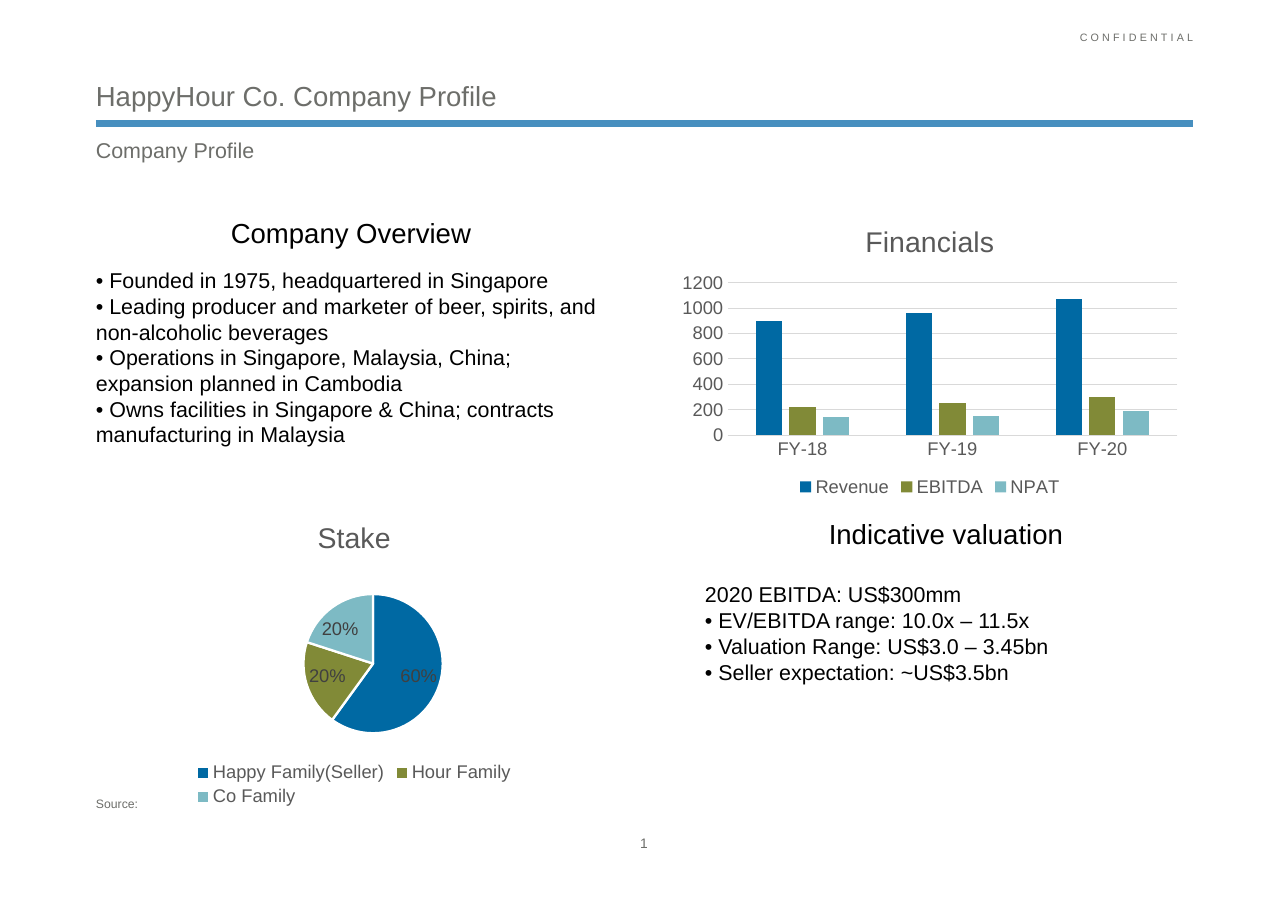
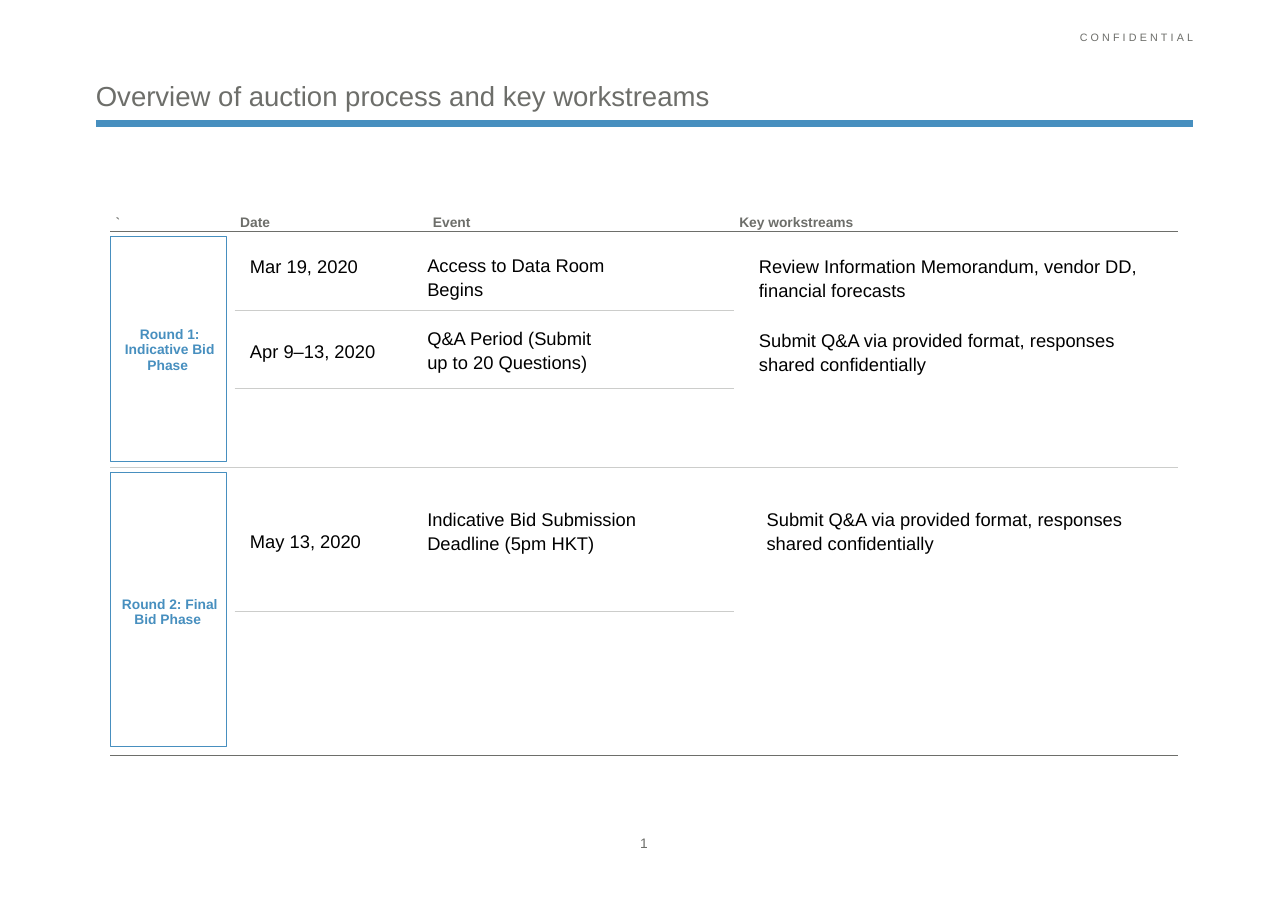
from dataclasses import dataclass

from lxml import etree
from pptx import Presentation
from pptx.chart.data import CategoryChartData
from pptx.dml.color import RGBColor
from pptx.enum.chart import XL_CHART_TYPE, XL_LABEL_POSITION, XL_LEGEND_POSITION, XL_TICK_MARK
from pptx.enum.shapes import MSO_CONNECTOR, MSO_SHAPE
from pptx.enum.text import MSO_ANCHOR, MSO_AUTO_SIZE, PP_ALIGN
from pptx.oxml.ns import qn
from pptx.util import Pt

COLUMNS, PIE = XL_CHART_TYPE.COLUMN_CLUSTERED, XL_CHART_TYPE.PIE
BEST_FIT, LEGEND_BOTTOM = XL_LABEL_POSITION.BEST_FIT, XL_LEGEND_POSITION.BOTTOM
NO_TICK = XL_TICK_MARK.NONE
TOP, MIDDLE, BOTTOM = MSO_ANCHOR.TOP, MSO_ANCHOR.MIDDLE, MSO_ANCHOR.BOTTOM
LEFT, CENTER, RIGHT = PP_ALIGN.LEFT, PP_ALIGN.CENTER, PP_ALIGN.RIGHT

EMU_PER_PX = 9144  # 100 px to the inch
FONT = "Arial"
BLACK, WHITE, GREY, BLUE = "000000", "FFFFFF", "6D6E6A", "478FBF"
RULE, GRID, CHART_GREY, LABEL_GREY = "CCCDCB", "D9D9D9", "595959", "404040"
SERIES_COLOURS = ("0069A3", "818A37", "7DBAC4")
NO_STYLE = "{2D5ABB26-0587-4C30-8999-92F81FD0307C}"

Box = tuple[int, int, int, int]


@dataclass(frozen=True)
class Style:
    size: float
    colour: str = BLACK
    bold: bool = False
    align: PP_ALIGN = LEFT
    anchor: MSO_ANCHOR = TOP
    insets: Box = (10, 5, 10, 5)
    spacing: float = 1.0
    before: float = 0
    after: float = 0
    tracking: int = 0


@dataclass(frozen=True)
class Label:
    box: Box
    text: str
    style: Style


FLUSH = (0, 0, 0, 0)
PANEL = (0, 5, 5, 3)
TITLE = Style(18, GREY, anchor=BOTTOM, insets=FLUSH)
CONFIDENTIAL = Style(7, GREY, align=RIGHT, insets=FLUSH, spacing=1.1, tracking=210)
SUBTITLE = Style(14, GREY, insets=FLUSH, spacing=1.1)
PAGE = Style(9, GREY, align=CENTER, anchor=MIDDLE, insets=FLUSH, spacing=1.1)
SOURCE = Style(8, GREY, anchor=BOTTOM, insets=FLUSH, spacing=1.1)
HEADING = Style(18, align=CENTER, anchor=BOTTOM, insets=PANEL)
OVERVIEW = Style(14, anchor=BOTTOM, insets=PANEL)
VALUATION = Style(14)
ENTRY = Style(12, spacing=1.1)
HEADER = Style(9, GREY, bold=True, anchor=BOTTOM, insets=(5, 2, 10, 1), after=3)
PHASE = Style(9, BLUE, bold=True, align=CENTER, anchor=MIDDLE,
              insets=(5, 2, 10, 0), before=2.6, after=3)

PROFILE_LABELS = (
    Label((87, 122, 996, 40), "Company Profile", SUBTITLE),
    Label((87, 202, 468, 27), "Company Overview", HEADING),
    Label((627, 475, 468, 27), "Indicative valuation", HEADING),
    Label((87, 218, 468, 191),
          "• Founded in 1975, headquartered in Singapore\n"
          "• Leading producer and marketer of beer, spirits, and non-alcoholic beverages\n"
          "• Operations in Singapore, Malaysia, China; expansion planned in Cambodia\n"
          "• Owns facilities in Singapore & China; contracts manufacturing in Malaysia",
          OVERVIEW),
    Label((630, 523, 429, 125),
          "2020 EBITDA: US$300mm\n"
          "• EV/EBITDA range: 10.0x – 11.5x\n"
          "• Valuation Range: US$3.0 – 3.45bn\n"
          "• Seller expectation: ~US$3.5bn",
          VALUATION),
    Label((87, 722, 996, 14), "Source:", SOURCE),
)

SUBMIT_QA = "Submit Q&A via provided format, responses shared confidentially"
PROCESS_LABELS = (
    Label((217, 225, 122, 31), "Mar 19, 2020", ENTRY),
    Label((378, 224, 187, 53), "Access to Data Room Begins", ENTRY),
    Label((679, 225, 390, 53),
          "Review Information Memorandum, vendor DD, financial forecasts", ENTRY),
    Label((217, 302, 139, 31), "Apr 9–13, 2020", ENTRY),
    Label((378, 290, 187, 53), "Q&A Period (Submit up to 20 Questions)", ENTRY),
    Label((679, 292, 390, 53), SUBMIT_QA, ENTRY),
    Label((217, 474, 139, 31), "May 13, 2020", ENTRY),
    Label((378, 454, 227, 53), "Indicative Bid Submission Deadline (5pm HKT)", ENTRY),
    Label((686, 454, 390, 53), SUBMIT_QA, ENTRY),
)

TABLE_HEADERS = ("`", "Date", "Event", "Key workstreams")
COLUMN_WIDTHS = (113, 175, 278, 403)
ROW_HEIGHTS = (19, 72, 71, 71, 131, 131)
ROW_EDGES = (None, GREY, RULE, RULE, RULE, RULE, GREY)
MERGED_COLUMNS = (0, 3)
PHASES = {(1, 3): "Round 1: Indicative Bid Phase ", (4, 5): "Round 2: Final Bid Phase "}
PHASE_FRAMES = ((100, 215, 106, 204), (100, 429, 106, 249))


def px(*lengths: int) -> list[int]:
    return [n * EMU_PER_PX for n in lengths]


def rgb(colour: str) -> RGBColor:
    return RGBColor.from_string(colour)


def set_font(font, size: float, colour: str, bold: bool = False) -> None:
    font.name, font.size, font.bold = FONT, Pt(size), bold
    font.color.rgb = rgb(colour)


def set_line(line, colour: str, width: float) -> None:
    line.color.rgb = rgb(colour)
    line.width = Pt(width)


def write(tf, text: str, style: Style) -> None:
    tf.text = text
    for p in tf.paragraphs:
        p.alignment, p.line_spacing = style.align, style.spacing
        p.space_before, p.space_after = Pt(style.before), Pt(style.after)
        for r in p.runs:
            set_font(r.font, style.size, style.colour, style.bold)
            if style.tracking:
                r.font._element.set("spc", str(style.tracking))


def set_frame(target, style: Style) -> None:
    """Set the insets and anchor of a text frame or a table cell."""
    (target.margin_left, target.margin_top,
     target.margin_right, target.margin_bottom) = px(*style.insets)
    target.vertical_anchor = style.anchor


def fill_text(sp, label: Label) -> None:
    tf = sp.text_frame
    tf.word_wrap, tf.auto_size = True, MSO_AUTO_SIZE.NONE
    set_frame(tf, label.style)
    write(tf, label.text, label.style)


def add_label(slide, label: Label) -> None:
    fill_text(slide.shapes.add_textbox(*px(*label.box)), label)


def add_slide(prs, title: str, labels: tuple[Label, ...]):
    """Add a slide with the shared title, band, marking and page number."""
    slide = prs.slides.add_slide(prs.slide_layouts[5])
    box = (87, 27, 996, 75)
    sp = slide.shapes.title
    sp.left, sp.top, sp.width, sp.height = px(*box)
    fill_text(sp, Label(box, title, TITLE))
    band = slide.shapes.add_connector(MSO_CONNECTOR.STRAIGHT, *px(87, 112, 1083, 112))
    set_line(band.line, BLUE, 4.5)
    etree.SubElement(band._element.spPr, qn("a:effectLst"))
    add_label(slide, Label((298, 27, 785, 24), "CONFIDENTIAL", CONFIDENTIAL))
    add_label(slide, Label((572, 755, 25, 20), "1", PAGE))
    for label in labels:
        add_label(slide, label)
    return slide


def place_plot(chart, **fractions: float) -> None:
    """Fix the inner plot area as fractions of the chart."""
    area = chart.element.find(".//" + qn("c:plotArea"))
    for old in area.findall(qn("c:layout")):
        area.remove(old)
    layout = etree.Element(qn("c:layout"))
    manual = etree.SubElement(layout, qn("c:manualLayout"))
    settings = {"layoutTarget": "inner", "xMode": "edge", "yMode": "edge", **fractions}
    for tag, value in settings.items():
        etree.SubElement(manual, qn(f"c:{tag}")).set("val", str(value))
    area.insert(0, layout)


def add_chart(slide, kind: XL_CHART_TYPE, box: Box, title: str,
              categories: tuple[str, ...], series: dict[str, tuple[float, ...]]):
    data = CategoryChartData()
    data.categories = categories
    for name, values in series.items():
        data.add_series(name, values)
    chart = slide.shapes.add_chart(kind, *px(*box), data).chart
    set_font(chart.font, 10, BLACK)
    chart.has_title = True
    chart.chart_title.include_in_layout = False
    tf = chart.chart_title.text_frame
    tf.text = title
    set_font(tf.paragraphs[0].runs[0].font, 18.6, CHART_GREY)
    chart.has_legend = True
    chart.legend.position = LEGEND_BOTTOM
    chart.legend.include_in_layout = False
    set_font(chart.legend.font, 12, CHART_GREY)
    return chart


def add_financials(slide) -> None:
    chart = add_chart(slide, COLUMNS, (610, 187, 468, 268), "Financials",
                      ("FY-18", "FY-19", "FY-20"),
                      {"Revenue": (900, 960, 1070), "EBITDA": (220, 250, 300),
                       "NPAT": (140, 150, 190)})
    plot = chart.plots[0]
    plot.gap_width, plot.overlap, plot.vary_by_categories = 219, -27, False
    for series, colour in zip(plot.series, SERIES_COLOURS):
        series.format.fill.solid()
        series.format.fill.fore_color.rgb = rgb(colour)
    for axis in (chart.category_axis, chart.value_axis):
        axis.major_tick_mark = axis.minor_tick_mark = NO_TICK
        set_font(axis.tick_labels.font, 12, CHART_GREY)
    set_line(chart.category_axis.format.line, GRID, 0.75)
    values = chart.value_axis
    values.minimum_scale, values.maximum_scale, values.major_unit = 0, 1200, 200
    values.format.line.fill.background()
    set_line(values.major_gridlines.format.line, GRID, 0.75)


def add_stake(slide) -> None:
    chart = add_chart(slide, PIE, (107, 455, 429, 281), "Stake",
                      ("Happy Family(Seller)", "Hour Family", "Co Family"),
                      {"Stake": (0.6, 0.2, 0.2)})
    plot = chart.plots[0]
    plot.vary_by_categories = True
    for i, colour in enumerate(SERIES_COLOURS):
        fmt = plot.series[0].points[i].format
        fmt.fill.solid()
        fmt.fill.fore_color.rgb = rgb(colour)
        set_line(fmt.line, WHITE, 1.5)
    labels = plot.series[0].data_labels
    labels.show_value, labels.position = True, BEST_FIT
    labels.number_format, labels.number_format_is_linked = "0%", False
    set_font(labels.font, 12, LABEL_GREY)
    place_plot(chart, x=0.39, y=0.3, w=0.3, h=0.45)


def set_border(cell, side: str, colour: str | None) -> None:
    if colour is None:
        return
    ln = etree.SubElement(cell._tc.get_or_add_tcPr(), qn(f"a:ln{side}"), w=str(Pt(0.5)))
    fill = etree.SubElement(ln, qn("a:solidFill"))
    etree.SubElement(fill, qn("a:srgbClr"), val=colour)


def add_plain_table(slide, left: int, top: int,
                    widths: tuple[int, ...], heights: tuple[int, ...]):
    """Add a table without style, bands or borders."""
    box = (left, top, sum(widths), sum(heights))
    table = slide.shapes.add_table(len(heights), len(widths), *px(*box)).table
    table.first_row = table.horz_banding = False
    table._tbl.tblPr.find(qn("a:tableStyleId")).text = NO_STYLE
    for column, width in zip(table.columns, px(*widths)):
        column.width = width
    for row, height in zip(table.rows, px(*heights)):
        row.height = height
    return table


def add_timetable(slide) -> None:
    table = add_plain_table(slide, 100, 191, COLUMN_WIDTHS, ROW_HEIGHTS)
    for (first, last), phase in PHASES.items():
        for c in MERGED_COLUMNS:
            table.cell(first, c).merge(table.cell(last, c))
        set_frame(table.cell(first, 0), PHASE)
        write(table.cell(first, 0).text_frame, phase, PHASE)
    for c, text in enumerate(TABLE_HEADERS):
        set_frame(table.cell(0, c), HEADER)
        write(table.cell(0, c).text_frame, text, HEADER)
    table.cell(0, 0).text_frame.paragraphs[0].runs[0].font.name = "Times New Roman"
    for r in range(len(ROW_HEIGHTS)):
        for c in range(len(COLUMN_WIDTHS)):
            cell = table.cell(r, c)
            if not cell.is_spanned:
                span = cell.span_height if cell.is_merge_origin else 1
                set_border(cell, "T", ROW_EDGES[r])
                set_border(cell, "B", ROW_EDGES[r + span])
            cell.fill.background()


def add_phase_frame(slide, box: Box) -> None:
    sp = slide.shapes.add_shape(MSO_SHAPE.RECTANGLE, *px(*box))
    sp.shadow.inherit = False
    sp.fill.background()
    set_line(sp.line, BLUE, 0.75)


def main() -> None:
    prs = Presentation()
    prs.slide_width, prs.slide_height = px(1169, 827)

    profile = add_slide(prs, "HappyHour Co. Company Profile", PROFILE_LABELS)
    add_financials(profile)
    add_stake(profile)

    process = add_slide(prs, "Overview of auction process and key workstreams", PROCESS_LABELS)
    add_timetable(process)
    for box in PHASE_FRAMES:
        add_phase_frame(process, box)
    divider = add_plain_table(process, 87, 430, (996,), (25,))
    divider.cell(0, 0).fill.background()

    prs.save("out.pptx")


if __name__ == "__main__":
    main()
